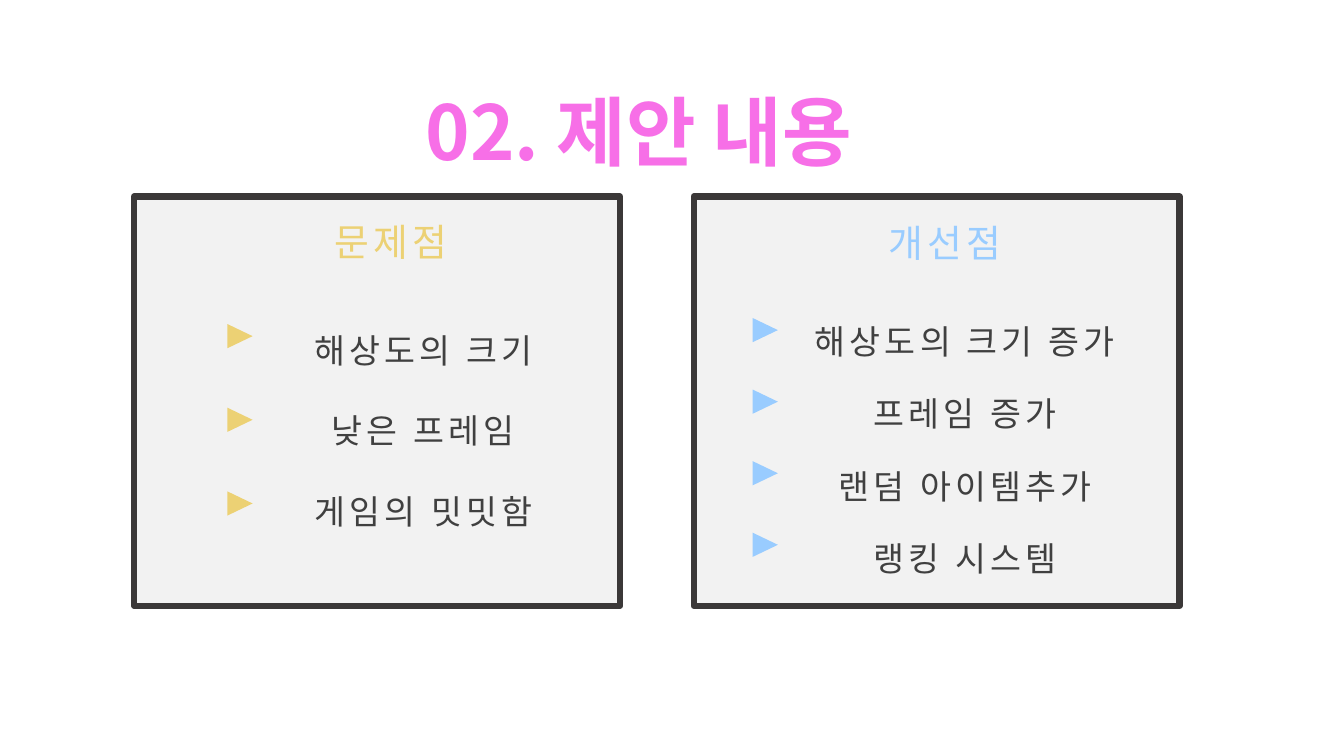
import pptx
import pptx.dml.color
import pptx.enum.shapes
import pptx.enum.text
import pptx.oxml.ns
import pptx.util
from pptx.util import Inches

RGBColor = pptx.dml.color.RGBColor
PINK = RGBColor(0xF7, 0x6F, 0xE7)
GOLD = RGBColor(0xEC, 0xD1, 0x74)
BLUE = RGBColor(0x99, 0xCC, 0xFF)
DARK = RGBColor(0x40, 0x40, 0x40)
EDGE = RGBColor(0x3B, 0x38, 0x38)
PALE = RGBColor(0xF2, 0xF2, 0xF2)
FONT = "Noto Sans CJK KR"
ALIGN = pptx.enum.text.PP_ALIGN
SHAPE = pptx.enum.shapes.MSO_SHAPE


def write(holder, box, lines, size, color, bold=False, align=ALIGN.LEFT,
          leading=1.0, track=0):
    """Place a placeholder and fill it with unbulleted lines; track is in points."""
    holder.left, holder.top, holder.width, holder.height = map(Inches, box)
    frame = holder.text_frame
    frame.text = "\n".join(lines)
    frame.word_wrap = True
    frame.auto_size = pptx.enum.text.MSO_AUTO_SIZE.NONE
    frame.vertical_anchor = pptx.enum.text.MSO_ANCHOR.TOP
    for para in frame.paragraphs:
        para.alignment = align
        para.line_spacing = leading
        para.space_before = pptx.util.Pt(0)
        props = para._p.get_or_add_pPr()
        props.set("marL", "0")
        props.set("indent", "0")
        props.append(pptx.oxml.parse_xml(
            f"<a:buNone {pptx.oxml.ns.nsdecls('a')}/>"))
        font = para.runs[0].font
        font.name, font.size, font.bold = FONT, pptx.util.Pt(size), bold
        font.color.rgb = color
        mark = para.runs[0]._r.get_or_add_rPr()
        mark.set("spc", str(track * 100))
        mark.append(pptx.oxml.parse_xml(
            f'<a:ea {pptx.oxml.ns.nsdecls("a")} typeface="{FONT}"/>'))


deck = pptx.Presentation()
deck.slide_width, deck.slide_height = Inches(13.33), Inches(7.5)
slide = deck.slides.add_slide(deck.slide_layouts.get_by_name("Comparison"))
shapes = slide.shapes
slots = {slot.placeholder_format.idx: slot for slot in slide.placeholders}

write(shapes.title, (4.12, 0.79, 6.39, 1.01), ["02. 제안 내용"], 54, PINK, bold=True)

panels = [
    dict(left=1.33, color=GOLD, head="문제점", spot=(3.22, 2.12, 1.79, 0.55),
         items=["해상도의 크기", "낮은 프레임", "게임의 밋밋함"],
         area=(2.57, 2.82, 3.26, 2.49), leading=2.0,
         mark=2.26, first=3.21, step=0.83),
    dict(left=6.88, color=BLUE, head="개선점", spot=(8.71, 2.13, 1.63, 0.55),
         items=["해상도의 크기 증가", "프레임 증가", "랜덤 아이템추가", "랭킹 시스템"],
         area=(7.66, 2.81, 3.82, 2.97), leading=1.8,
         mark=7.47, first=3.15, step=0.71),
]

for num, panel in enumerate(panels):
    color = panel["color"]
    card = shapes.add_shape(SHAPE.RECTANGLE, Inches(panel["left"]), Inches(1.95),
                            Inches(4.82), Inches(4.06))
    card.shadow.inherit = False
    card.fill.solid()
    card.fill.fore_color.rgb = PALE
    card.line.color.rgb = EDGE
    card.line.width = pptx.util.Pt(4.5)
    shapes._spTree.insert(2, card._element)  # behind the text

    write(slots[1 + 2 * num], panel["spot"], [panel["head"]], 27, color, track=3)
    write(slots[2 + 2 * num], panel["area"], panel["items"], 24, DARK,
          align=ALIGN.CENTER, leading=panel["leading"], track=3)

    for row in range(len(panel["items"])):
        arrow = shapes.add_shape(
            SHAPE.ISOSCELES_TRIANGLE, Inches(panel["mark"]),
            Inches(panel["first"] + row * panel["step"]), Inches(0.24), Inches(0.25))
        arrow.rotation = 90
        arrow.shadow.inherit = False
        arrow.fill.solid()
        arrow.fill.fore_color.rgb = color
        arrow.line.fill.background()

deck.save("out.pptx")
